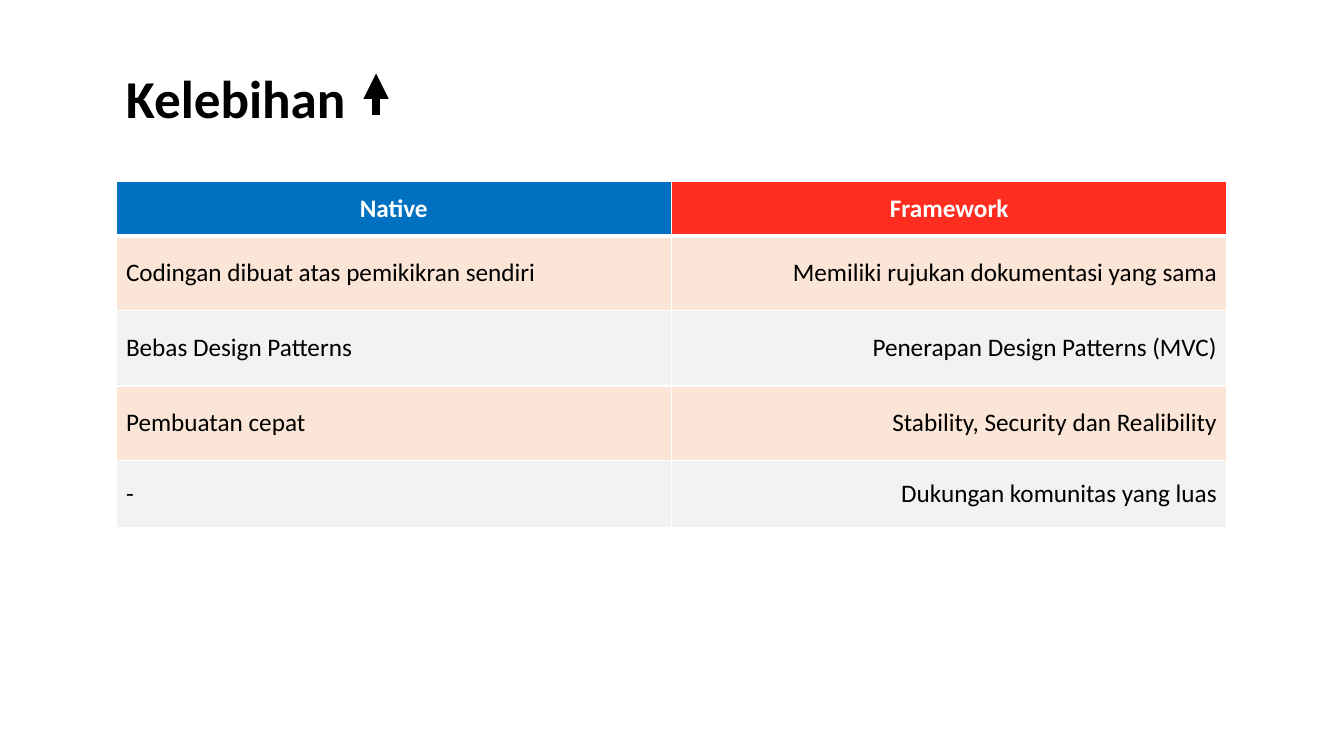
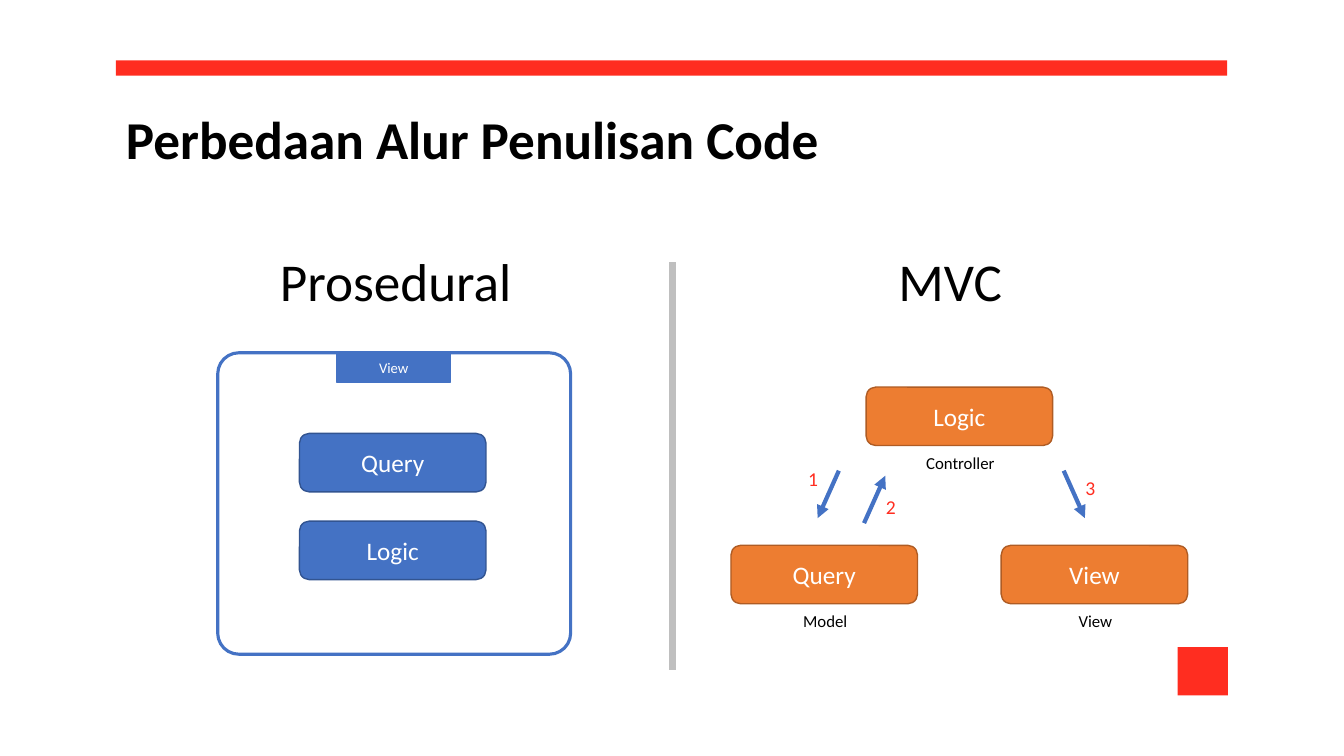
from lxml.etree import SubElement
from pptx import Presentation
from pptx.dml.color import RGBColor
from pptx.enum.shapes import MSO_CONNECTOR, MSO_SHAPE
from pptx.enum.text import MSO_ANCHOR, MSO_AUTO_SIZE, PP_ALIGN
from pptx.oxml.ns import qn
from pptx.util import Pt

SCALE = 9144
FONT = "Calibri"
COLORS = {
    "black": "000000",
    "white": "FFFFFF",
    "red": "FF2D20",
    "header_blue": "0070C0",
    "peach": "FBE5D6",
    "light_gray": "F2F2F2",
    "gray": "BFBFBF",
    "blue": "4472C4",
    "dark_blue": "325491",
    "orange": "ED7D31",
    "dark_orange": "AF5C24",
}
RGB = {name: RGBColor.from_string(value) for name, value in COLORS.items()}
LEFT, CONTENT_WIDTH = 115, 1102
NODE_WIDTH, NODE_HEIGHT = 185, 58


def add_box(slide, box, kind=None, fill=None, line=None, line_width=1, radius=None,
            text="", size=18, color="black", bold=False, align=PP_ALIGN.CENTER):
    position = [value * SCALE for value in box]
    if kind is None:
        shape = slide.shapes.add_textbox(*position)
        shape.text_frame.auto_size = MSO_AUTO_SIZE.SHAPE_TO_FIT_TEXT
    else:
        shape = slide.shapes.add_shape(kind, *position)
        shape.shadow.inherit = False
        shape.text_frame.vertical_anchor = MSO_ANCHOR.MIDDLE
        if fill:
            shape.fill.solid()
            shape.fill.fore_color.rgb = RGB[fill]
        else:
            shape.fill.background()
        if line:
            shape.line.color.rgb = RGB[line]
            shape.line.width = Pt(line_width)
        else:
            shape.line.fill.background()
        if radius is not None:
            shape.adjustments[0] = radius
    shape.text_frame.word_wrap = True
    if text:
        paragraph = shape.text_frame.paragraphs[0]
        paragraph.alignment = align
        run = paragraph.add_run()
        run.text = text
        run.font.name = FONT
        run.font.size = Pt(size)
        run.font.bold = bold
        run.font.color.rgb = RGB[color]


def add_line(slide, points, color, width, arrow=True):
    connector = slide.shapes.add_connector(
        MSO_CONNECTOR.STRAIGHT, *[value * SCALE for value in points])
    connector.line.color.rgb = RGB[color]
    connector.line.width = Pt(width)
    properties = connector._element.spPr
    if arrow:
        SubElement(properties.find(qn("a:ln")), qn("a:tailEnd"), type="triangle")
    SubElement(properties, qn("a:effectLst"))


presentation = Presentation()
presentation.slide_width = 1333 * SCALE
presentation.slide_height = 750 * SCALE
blank_layout = presentation.slide_layouts[6]

slides = []
for title, top in [("Kelebihan", 60), ("Perbedaan Alur Penulisan Code", 101)]:
    slide = presentation.slides.add_slide(blank_layout)
    add_box(slide, (LEFT, top, CONTENT_WIDTH, 74), text=title, size=38, bold=True,
            align=PP_ALIGN.LEFT)
    slides.append(slide)
advantages_slide, flow_slide = slides

rows = [
    ("Native", "Framework"),
    ("Codingan dibuat atas pemikikran sendiri", "Memiliki rujukan dokumentasi yang sama"),
    ("Bebas Design Patterns", "Penerapan Design Patterns (MVC)"),
    ("Pembuatan cepat", "Stability, Security dan Realibility"),
    ("-", "Dukungan komunitas yang luas"),
]
row_heights = [54, 74, 75, 74, 66]
table = advantages_slide.shapes.add_table(
    len(rows), 2, LEFT * SCALE, 180 * SCALE,
    CONTENT_WIDTH * SCALE, sum(row_heights) * SCALE).table
for column in table.columns:
    column.width = CONTENT_WIDTH // 2 * SCALE
for row_index, (texts, height) in enumerate(zip(rows, row_heights)):
    table.rows[row_index].height = height * SCALE
    is_header = row_index == 0
    for column_index, text in enumerate(texts):
        cell = table.cell(row_index, column_index)
        cell.vertical_anchor = MSO_ANCHOR.MIDDLE
        cell_properties = cell._tc.get_or_add_tcPr()
        for side in ("L", "R", "T", "B"):
            heavy = (row_index, side) in [(0, "B"), (1, "T")]
            border = SubElement(cell_properties, qn(f"a:ln{side}"),
                                w=str(Pt(3 if heavy else 1)))
            border_fill = SubElement(border, qn("a:solidFill"))
            SubElement(border_fill, qn("a:srgbClr"), val=COLORS["white"])
        if is_header:
            fill = ("header_blue", "red")[column_index]
            align = PP_ALIGN.CENTER
        else:
            fill = "peach" if row_index % 2 else "light_gray"
            align = (PP_ALIGN.LEFT, PP_ALIGN.RIGHT)[column_index]
        cell.fill.solid()
        cell.fill.fore_color.rgb = RGB[fill]
        paragraph = cell.text_frame.paragraphs[0]
        paragraph.alignment = align
        run = paragraph.add_run()
        run.text = text
        run.font.name = FONT
        run.font.size = Pt(18)
        run.font.bold = is_header
        run.font.color.rgb = RGB["white" if is_header else "black"]

add_line(advantages_slide, (373, 114, 373, 73), "black", 6)

for bar in [(LEFT, 60, CONTENT_WIDTH, 15), (1168, 642, 50, 48)]:
    add_box(flow_slide, bar, MSO_SHAPE.RECTANGLE, fill="red")
add_line(flow_slide, (667, 260, 667, 665), "gray", 4.5, arrow=False)
for heading, left in [("Prosedural", 117), ("MVC", 667)]:
    add_box(flow_slide, (left, 241, CONTENT_WIDTH // 2, 74), text=heading, size=38)

add_box(flow_slide, (216, 350, 350, 299), MSO_SHAPE.ROUNDED_RECTANGLE,
        line="blue", line_width=2.25, radius=0.07)
add_box(flow_slide, (334, 351, 113, 28), MSO_SHAPE.ROUNDED_RECTANGLE, fill="blue",
        line="blue", radius=0, text="View", size=10.5, color="white")

nodes = [
    ("Query", 297, 430, "blue", None),
    ("Logic", 297, 517, "blue", None),
    ("Logic", 859, 384, "orange", "Controller"),
    ("Query", 725, 541, "orange", "Model"),
    ("View", 993, 541, "orange", "View"),
]
for name, left, top, fill, caption in nodes:
    add_box(flow_slide, (left, top, NODE_WIDTH, NODE_HEIGHT), MSO_SHAPE.ROUNDED_RECTANGLE,
            fill=fill, line=f"dark_{fill}", text=name, color="white")
    if caption:
        add_box(flow_slide, (left, top + 60, NODE_WIDTH + 2, 30), text=caption, size=12)

steps = [
    ("1", (832, 467, 811, 514), 791, 458),
    ("2", (857, 519, 878, 472), 868, 486),
    ("3", (1055, 467, 1076, 514), 1066, 467),
]
for number, points, left, top in steps:
    add_line(flow_slide, points, "blue", 3)
    add_box(flow_slide, (left, top, 31, 34), text=number, size=14, color="red")

presentation.save("out.pptx")
